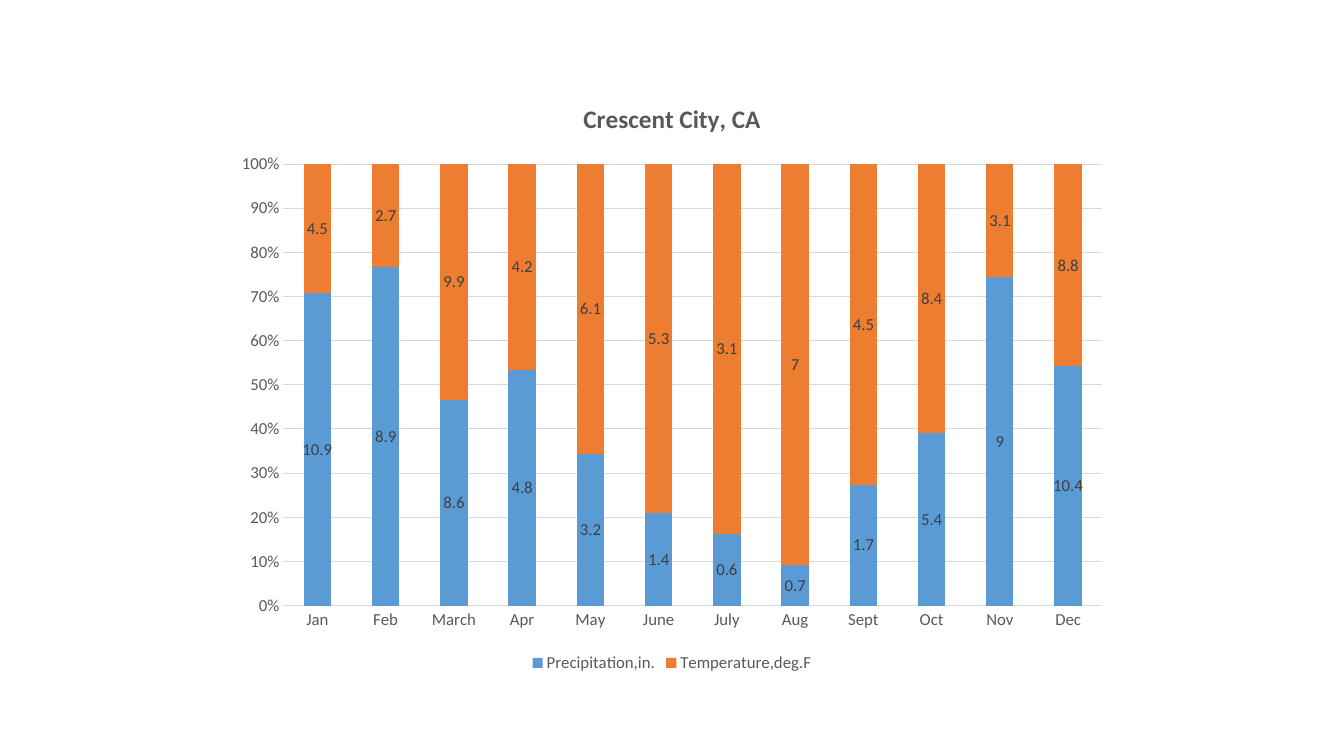
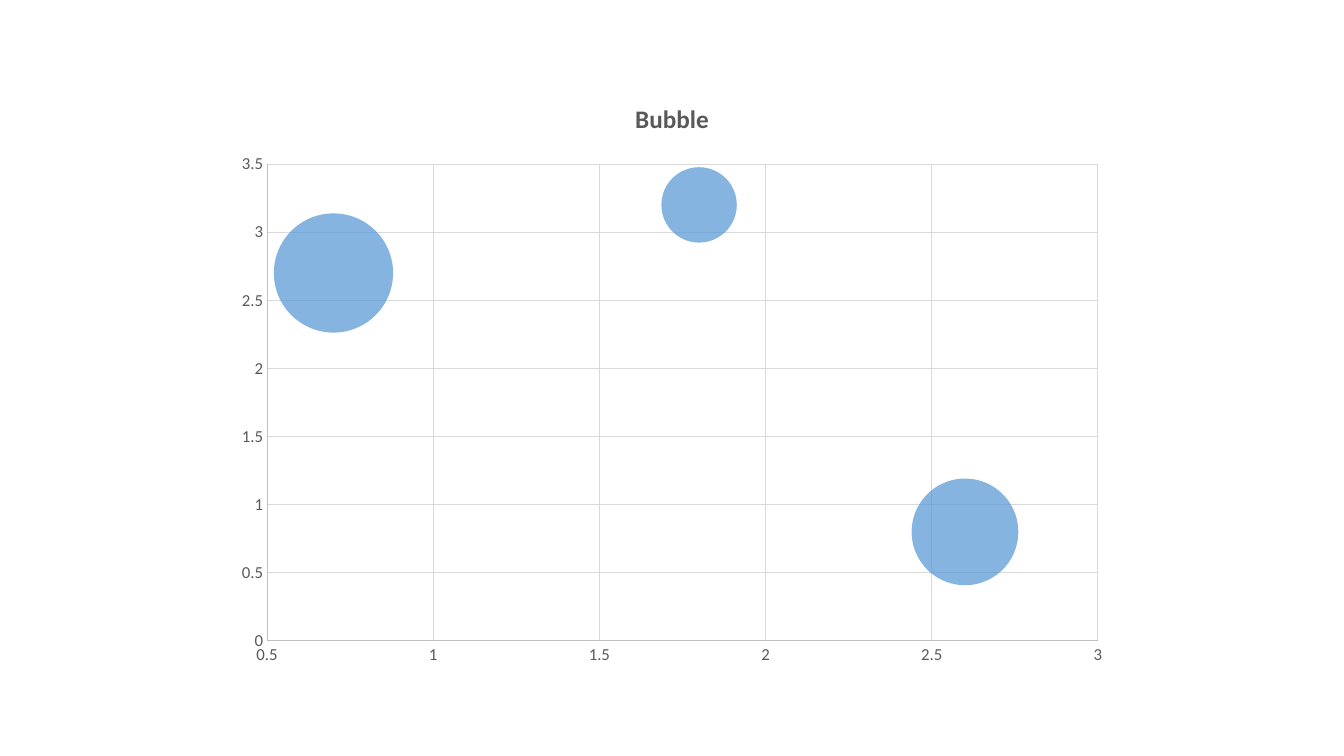
from dataclasses import dataclass

from lxml import etree
from pptx import Presentation
from pptx.chart.data import BubbleChartData, CategoryChartData
from pptx.dml.color import RGBColor
from pptx.enum.chart import (
    XL_CHART_TYPE, XL_LABEL_POSITION, XL_LEGEND_POSITION, XL_TICK_MARK,
)
from pptx.oxml.ns import qn
from pptx.util import Inches, Pt

STACKED = XL_CHART_TYPE.COLUMN_STACKED_100
BUBBLE = XL_CHART_TYPE.BUBBLE
NO_TICK = XL_TICK_MARK.NONE
CENTER = XL_LABEL_POSITION.CENTER
BOTTOM = XL_LEGEND_POSITION.BOTTOM
BLANK_LAYOUT = 6

# Content
CLIMATE_TITLE = "Crescent City, CA"
MONTHS = ["Jan", "Feb", "March", "Apr", "May", "June",
          "July", "Aug", "Sept", "Oct", "Nov", "Dec"]
CLIMATE = {
    "Precipitation,in.": [10.9, 8.9, 8.6, 4.8, 3.2, 1.4,
                          0.6, 0.7, 1.7, 5.4, 9, 10.4],
    "Temperature,deg.F": [4.5, 2.7, 9.9, 4.2, 6.1, 5.3,
                          3.1, 7, 4.5, 8.4, 3.1, 8.8],
}
BUBBLE_TITLE = "Bubble"
BUBBLES = [(0.7, 2.7, 10), (1.8, 3.2, 4), (2.6, 0.8, 8)]  # x, y, size


@dataclass(frozen=True)
class Theme:
    font: str = "Calibri"
    text: str = "595959"
    label: str = "404040"
    grid: str = "D9D9D9"
    axis: str = "BFBFBF"
    series: tuple = ("5B9BD5", "ED7D31")
    bubble_opacity: int = 75
    title_size: int = 18
    text_size: int = 12
    line_width: float = 0.75


THEME = Theme()
SLIDE_SIZE = (13.33, 7.5)
CHART_SIZE = (8.89, 5.93)


def style_font(font, size=THEME.text_size, color=THEME.text, bold=False):
    font.name = THEME.font
    font.size = Pt(size)
    font.bold = bold
    font.color.rgb = RGBColor.from_string(color)


def write_text(frame, text, **style):
    frame.text = text
    style_font(frame.paragraphs[0].runs[0].font, **style)


def style_line(line, color):
    if color is None:
        line.fill.background()
    else:
        line.color.rgb = RGBColor.from_string(color)
        line.width = Pt(THEME.line_width)


def style_axis(axis, line=None, grid=True, number_format="General"):
    axis.major_tick_mark = axis.minor_tick_mark = NO_TICK
    axis.has_major_gridlines = grid
    if grid:
        style_line(axis.major_gridlines.format.line, THEME.grid)
    style_line(axis.format.line, line)
    labels = axis.tick_labels
    style_font(labels.font)
    labels.number_format = number_format
    labels.number_format_is_linked = False


def fill_series(series, color):
    series.format.fill.solid()
    series.format.fill.fore_color.rgb = RGBColor.from_string(color)
    series.format.line.fill.background()


def add_chart_slide(deck, kind, data, title):
    """Add a slide with one centred, titled chart."""
    page = deck.slides.add_slide(deck.slide_layouts[BLANK_LAYOUT])
    left, top = ((whole - part) / 2
                 for whole, part in zip(SLIDE_SIZE, CHART_SIZE))
    width, height = CHART_SIZE
    chart = page.shapes.add_chart(kind, Inches(left), Inches(top),
                                  Inches(width), Inches(height), data).chart
    style_font(chart.font)
    chart.has_title = True
    write_text(chart.chart_title.text_frame, title,
               size=THEME.title_size, bold=True)
    chart.chart_title.include_in_layout = False
    chart.has_legend = False
    return chart


def add_climate_slide(deck):
    data = CategoryChartData()
    data.categories = MONTHS
    for name, values in CLIMATE.items():
        data.add_series(name, values)
    chart = add_chart_slide(deck, STACKED, data, CLIMATE_TITLE)

    # Axes and legend
    style_axis(chart.category_axis, line=THEME.grid, grid=False)
    style_axis(chart.value_axis, number_format="0%")
    chart.has_legend = True
    chart.legend.position = BOTTOM
    chart.legend.include_in_layout = False
    style_font(chart.legend.font)

    # Columns and their values
    plot = chart.plots[0]
    plot.vary_by_categories = False
    plot.gap_width = 150
    plot.overlap = 100
    for series, color in zip(plot.series, THEME.series):
        fill_series(series, color)
        series.invert_if_negative = False
        labels = series.data_labels
        labels.show_value = True
        labels.position = CENTER
        style_font(labels.font, color=THEME.label)


def add_bubble_slide(deck):
    data = BubbleChartData()
    points = data.add_series("Series 1")
    for x, y, size in BUBBLES:
        points.add_data_point(x, y, size)
    chart = add_chart_slide(deck, BUBBLE, data, BUBBLE_TITLE)
    for axis in (chart.category_axis, chart.value_axis):
        style_axis(axis, line=THEME.axis)

    # Translucent bubbles
    series = chart.plots[0].series[0]
    fill_series(series, THEME.series[0])
    for color in series._element.iter(qn("a:srgbClr")):
        etree.SubElement(color, qn("a:alpha"),
                         val=str(THEME.bubble_opacity * 1000))


def main():
    deck = Presentation()
    deck.slide_width, deck.slide_height = map(Inches, SLIDE_SIZE)
    add_climate_slide(deck)
    add_bubble_slide(deck)
    deck.save("out.pptx")


if __name__ == "__main__":
    main()
